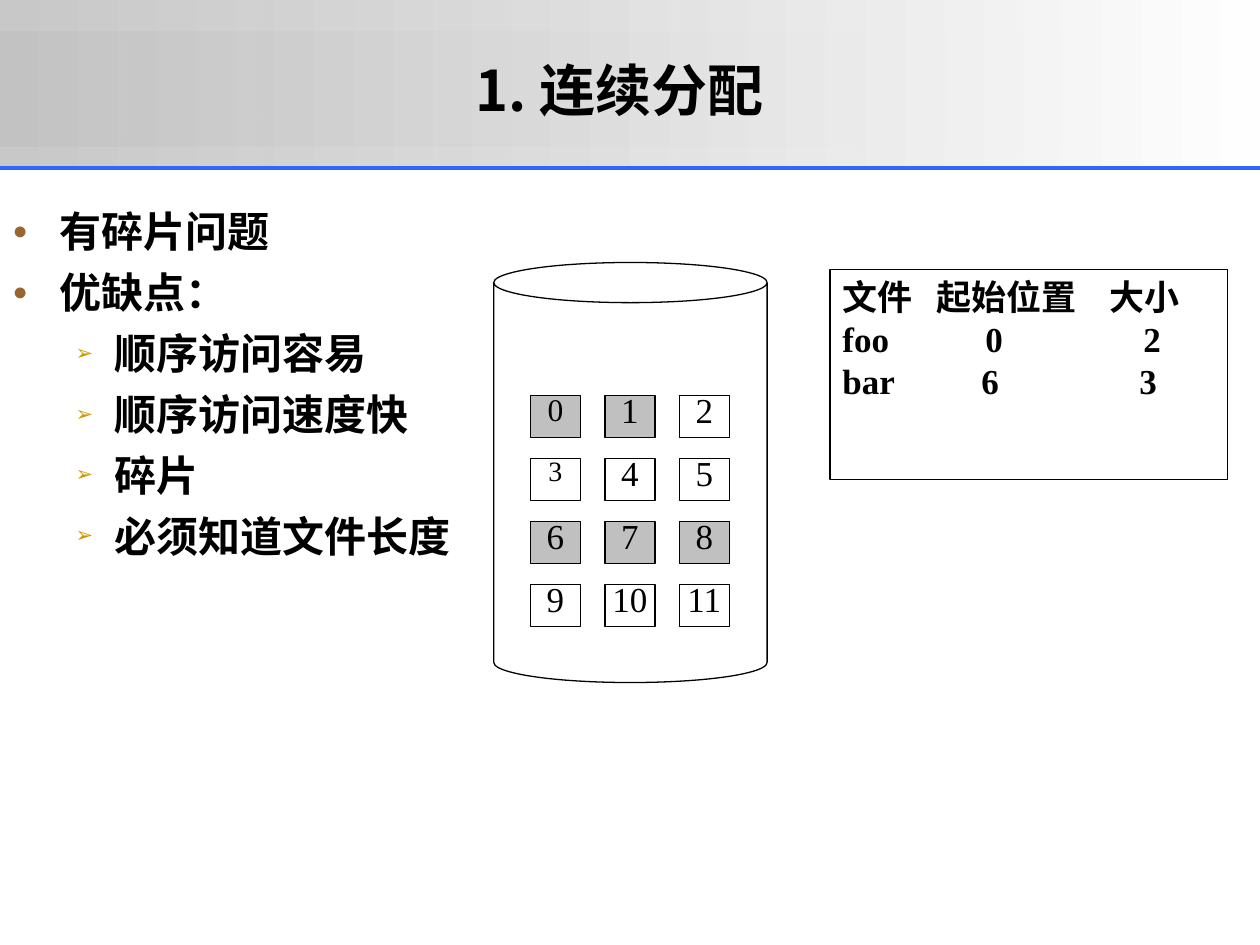
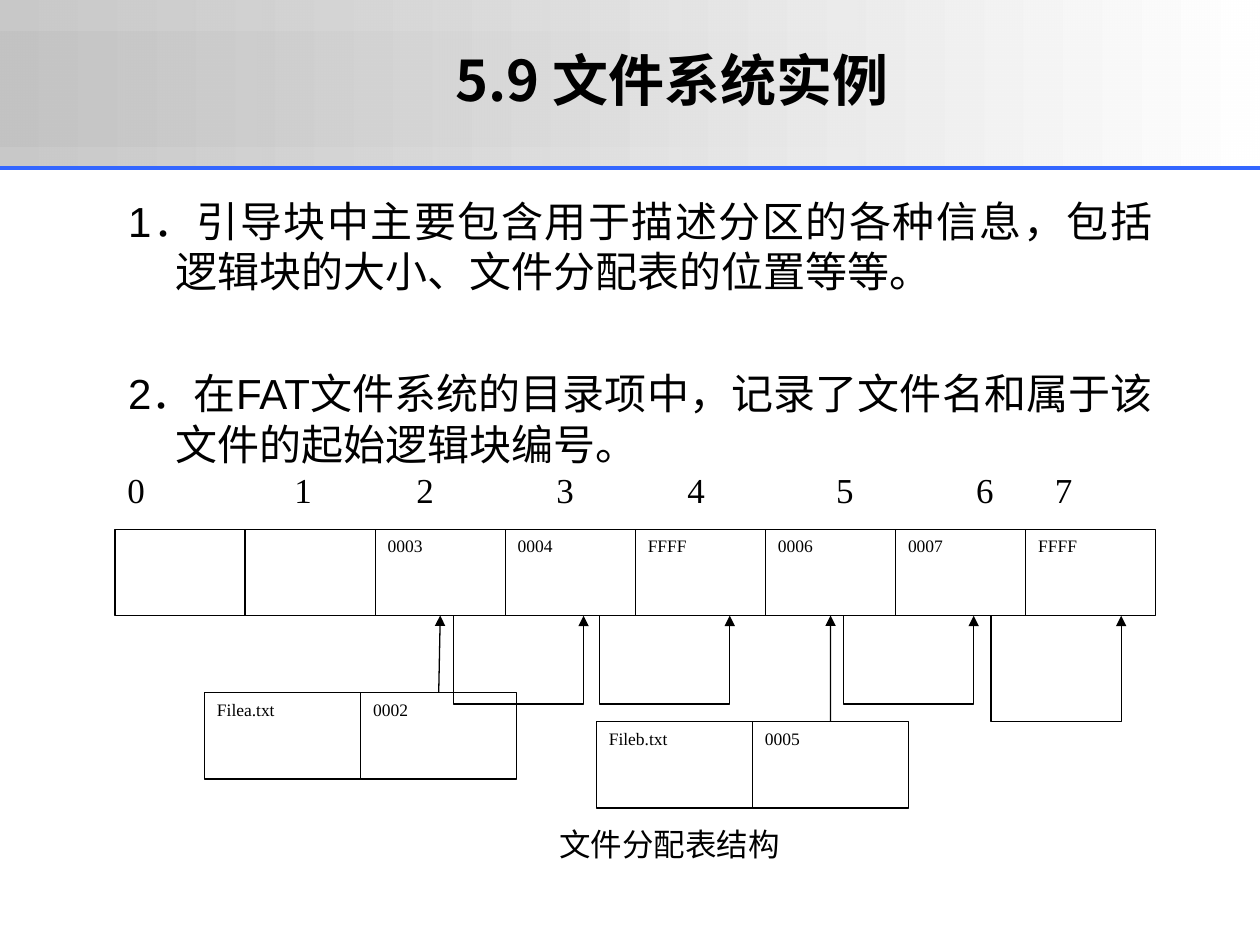
from pptx import Presentation
from pptx.util import Pt
from pptx.dml.color import RGBColor as RGB
from pptx.enum.shapes import MSO_SHAPE as Shape, MSO_CONNECTOR as Conn
from pptx.enum.text import PP_ALIGN as Align, MSO_ANCHOR as Anchor, MSO_AUTO_SIZE as Auto
from pptx.oxml.ns import qn
from lxml.etree import SubElement as Sub

HEX = {"ink": "000000", "paper": "FFFFFF", "gray": "C0C0C0", "rule": "3366FF",
       "dot": "996633", "arrow": "CC9900"}
RGBS = {name: RGB.from_string(code) for name, code in HEX.items()}
SERIF, SANS, CJK = "Times New Roman", "Arial", "Noto Sans CJK SC"


def write(para, text, face, size, bold=False, tabs=(), **form):
    """Fill a paragraph; tabs are left tab stops in points."""
    if tabs:
        stops = Sub(para._p.get_or_add_pPr(), qn("a:tabLst"))
        for pos in tabs:
            Sub(stops, qn("a:tab"), pos=str(Pt(pos)), algn="l")
    for key, val in form.items():
        setattr(para, key, val)
    run = para.add_run()
    run.text = text
    for key, val in {"name": face, "size": Pt(size), "bold": bold}.items():
        setattr(run.font, key, val)
    run.font.color.rgb = RGBS["ink"]


def box(slide, x, y, wide, high, fill="paper", kind=Shape.RECTANGLE):
    """Add a thinly outlined shape whose text starts at the top."""
    shape = slide.shapes.add_shape(kind, Pt(x), Pt(y), Pt(wide), Pt(high))
    shape.shadow.inherit = False
    shape.fill.solid()
    shape.fill.fore_color.rgb = RGBS[fill]
    shape.line.color.rgb = RGBS["ink"]
    shape.line.width = Pt(0.75)
    shape.text_frame.vertical_anchor = Anchor.TOP
    return shape


deck = Presentation()
deck.slide_width, deck.slide_height = Pt(720), Pt(540)
layout = deck.slide_layouts[1]

# Titles and body frames
slides = []
for title, spot, frame in [
        ("1. 连续分配", (60, 6, 588, 90), (0, 114, 576, 356)),
        ("5.9 文件系统实例", (90, 18, 588, 54), (66, 108, 600, 402))]:
    slide = deck.slides.add_slide(layout)
    slides.append(slide)
    for holder, place in zip(slide.placeholders, (spot, frame)):
        for side, val in zip(("left", "top", "width", "height"), place):
            setattr(holder, side, Pt(val))
        holder.text_frame.auto_size = Auto.NONE
    head = slide.shapes.title.text_frame
    head.vertical_anchor = Anchor.MIDDLE
    write(head.paragraphs[0], title, CJK, 32, True, alignment=Align.CENTER)
    Sub(head.paragraphs[0].runs[0].font._element, qn("a:ea"), typeface=CJK)
disk, fat = slides

# Header bands and rule, moved to the master
parts = []
for top, high, alpha in [(0, 96, 86), (18, 66, 59)]:
    band = box(disk, 0, top, 720, high)
    band.line.fill.background()
    band.fill.gradient()
    band.fill.gradient_angle = 0
    for stop, name in zip(band.fill.gradient_stops, ("gray", "paper")):
        stop.color.rgb = RGBS[name]
    tint = band.element.xpath(".//a:gs[1]/a:srgbClr")[0]
    Sub(tint, qn("a:alpha"), val=str(alpha * 1000))
    parts.append(band)
rule = disk.shapes.add_connector(Conn.STRAIGHT, Pt(0), Pt(96), Pt(720), Pt(96))
rule.line.color.rgb = RGBS["rule"]
rule.line.width = Pt(2.25)
Sub(rule.element.spPr, qn("a:effectLst"))
parts.append(rule)
for num, part in enumerate(parts):
    part.element.xpath(".//p:cNvPr")[0].set("id", str(20 + num))
    deck.slide_master.shapes.element.insert(2 + num, part.element)

# Slide 1: list
body = disk.placeholders[1].text_frame
marks = [("●", "dot", 60, 27, 27), ("➢", "arrow", 50, 58.5, 22.5)]
for num, (level, text) in enumerate([
        (0, "有碎片问题"), (0, "优缺点："), (1, "顺序访问容易"),
        (1, "顺序访问速度快"), (1, "碎片"), (1, "必须知道文件长度")]):
    para = body.add_paragraph() if num else body.paragraphs[0]
    mark, tone, scale, left, hang = marks[level]
    props = para._p.get_or_add_pPr()
    props.set("marL", str(Pt(left)))
    props.set("indent", str(-Pt(hang)))
    Sub(Sub(props, qn("a:buClr")), qn("a:srgbClr"), val=HEX[tone])
    Sub(props, qn("a:buSzPct"), val=str(scale * 1000))
    Sub(props, qn("a:buChar"), char=mark)
    write(para, text, SANS, 24, True, level=level, space_before=Pt(6 if num else 0))

# Slide 1: disk with its blocks
drum = box(disk, 282.2, 150, 156.2, 240, kind=Shape.CAN)
drum.adjustments[0] = 0.147
used, sizes = {0, 1, 6, 7, 8}, {0: 18, 3: 16}
for num in range(12):
    row, col = divmod(num, 3)
    block = box(disk, 303.1 + 42.55 * col, 226 + 36 * row, 28.6, 24,
                "gray" if num in used else "paper")
    block.text_frame.margin_left = block.text_frame.margin_right = 0
    write(block.text_frame.paragraphs[0], str(num), SERIF, sizes.get(num, 20),
          alignment=Align.CENTER, line_spacing=0.64)

# Slide 1: directory
table = box(disk, 474.3, 154, 227.4, 120).text_frame
for num, (text, tabs) in enumerate([
        ("文件\t起始位置\t大小", (53.7, 152.6)),
        ("foo\t0\t2", (81.7, 172)),
        ("bar\t6\t3", (79.4, 169.7))]):
    para = table.add_paragraph() if num else table.paragraphs[0]
    write(para, text, SERIF, 20, True, tabs, alignment=Align.LEFT)

# Slide 2: text
body = fat.placeholders[1].text_frame
for num, text in enumerate([
        "1．引导块中主要包含用于描述分区的各种信息，包括逻辑块的大小、文件分配表的位置等等。",
        "2．在FAT文件系统的目录项中，记录了文件名和属于该文件的起始逻辑块编号。"]):
    para = body.add_paragraph() if num else body.paragraphs[0]
    props = para._p.get_or_add_pPr()
    props.set("marL", str(Pt(27)))
    props.set("indent", str(-Pt(27)))
    Sub(props, qn("a:buNone"))
    write(para, text, SANS, 24, alignment=Align.JUSTIFY,
          space_before=Pt(41 if num else 0))

# Slide 2: index row and caption
index = fat.shapes.add_textbox(Pt(65.7), Pt(264.2), Pt(624), Pt(49.5)).text_frame
index.word_wrap = True
write(index.paragraphs[0], "\t".join(map(str, range(8))), SERIF, 20,
      tabs=(95.4, 165.2, 245.2, 320, 405, 485, 530))
note = fat.shapes.add_textbox(Pt(312.5), Pt(468), Pt(144), Pt(28.8)).text_frame
note.word_wrap = False
note.vertical_anchor = Anchor.MIDDLE
write(note.paragraphs[0], "文件分配表结构", SANS, 18)

# Slide 2: allocation table and directory entries
pitch, high = 74.35, 49.3
base = 302.4 + high
rows = []
for left, top, wide, texts in [
        (65.7, 302.4, pitch, ["", "", "0003", "0004", "FFFF", "0006", "0007", "FFFF"]),
        (116.9, 395.8, 89.2, ["Filea.txt", "0002"]),
        (340.8, 412.4, 89.2, ["Fileb.txt", "0005"])]:
    row = [box(fat, left + wide * num, top, wide, high) for num in range(len(texts))]
    for cell, text in zip(row, texts):
        if text:
            write(cell.text_frame.paragraphs[0], text, SERIF, 10, alignment=Align.LEFT)
    rows.append(row)
cells, *files = rows

# Slide 2: arrows
links = []
for entry, num in zip(files, (2, 5)):
    link = fat.shapes.add_connector(Conn.STRAIGHT, 0, 0, 0, 0)
    link.begin_connect(entry[1], 0)
    link.end_connect(cells[num], 2)
    links.append(link)
thin = 0.2
for left, depth in [(259.1, 51), (342.6, 51), (482, 51), (566.3, 61)]:
    mid = left + pitch / 2
    link = fat.shapes.add_connector(Conn.ELBOW, Pt(mid + thin / 2), Pt(base - pitch / 2),
                                    Pt(mid - thin / 2), Pt(base + pitch / 2))
    link.element.spPr.find(qn("a:xfrm")).set("rot", "16200000")
    guides = link.element.xpath(".//a:avLst")[0]
    Sub(guides, qn("a:gd"), name="adj1", fmla=f"val {round(depth / thin * 100000)}")
    links.append(link)
for link in links:
    link.line.color.rgb = RGBS["ink"]
    link.line.width = Pt(0.75)
    Sub(link.line._get_or_add_ln(), qn("a:tailEnd"), type="triangle")
    Sub(link.element.spPr, qn("a:effectLst"))

deck.save("out.pptx")
